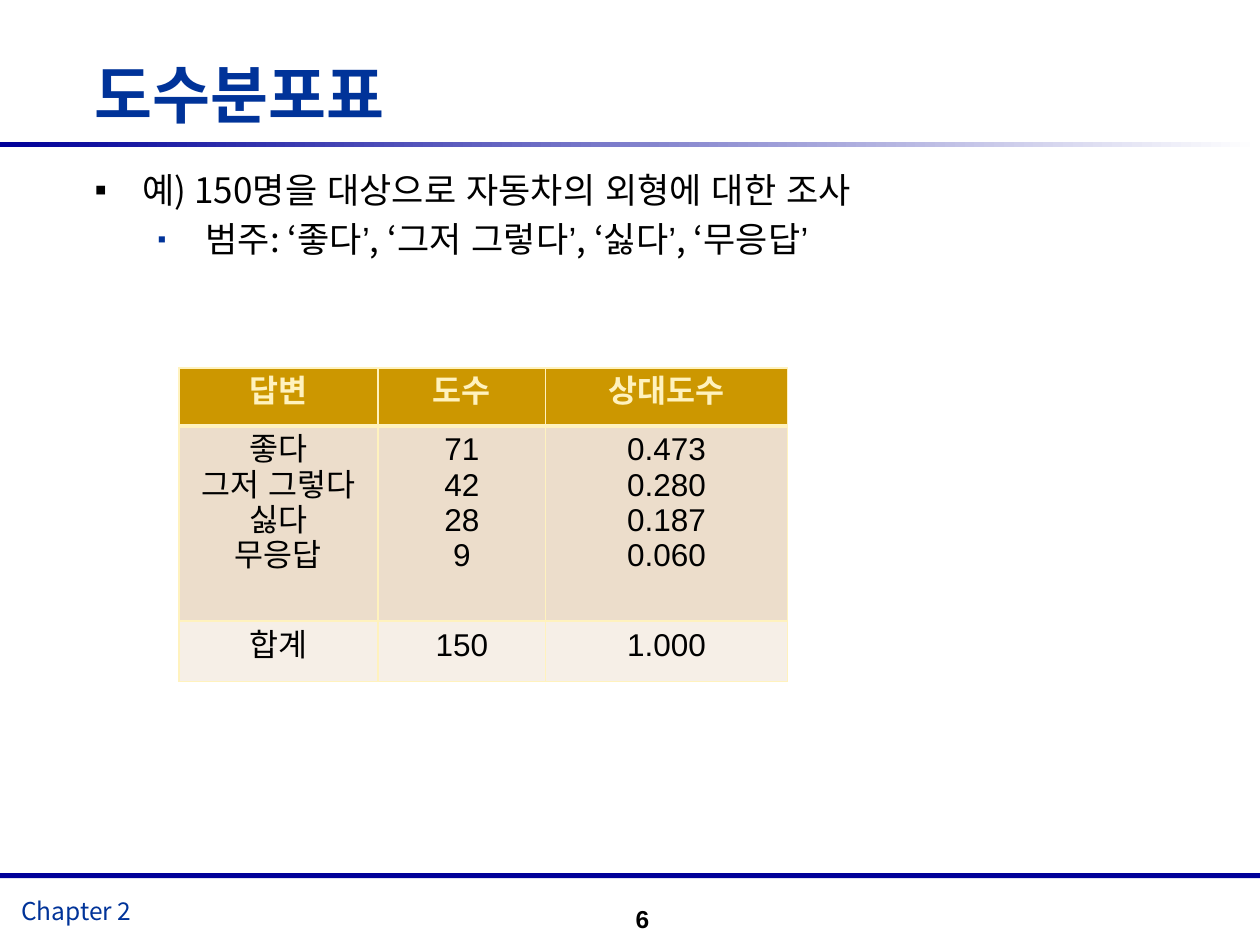
"""Builds the frequency distribution table slide."""
from lxml.etree import SubElement
from pptx import Presentation
from pptx.dml.color import RGBColor
from pptx.enum.shapes import MSO_SHAPE
from pptx.enum.text import MSO_ANCHOR, PP_ALIGN
from pptx.oxml.ns import qn
from pptx.util import Inches, Pt

TITLE = "도수분포표"
BODY = [
    {"text": "예) 150명을 대상으로 자동차의 외형에 대한 조사", "left": 0.38, "color": "black", "size": 100},
    {"text": "범주: ‘좋다’, ‘그저 그렇다’, ‘싫다’, ‘무응답’", "left": 0.88, "color": "blue", "size": 70},
]
CHAPTER, PAGE = "Chapter 2", "6"
TABLE = [
    [["답변"], ["도수"], ["상대도수"]],
    [["좋다", "그저 그렇다", "싫다", "무응답"], ["71", "42", "28", "9"],
     ["0.473", "0.280", "0.187", "0.060"]],
    [["합계"], ["150"], ["1.000"]],
]
COLS, ROWS = [1.58, 1.33, 1.92], [0.46, 1.55, 0.48]
THEME = {
    "colors": {"black": "000000", "blue": "003399", "navy": "000099", "white": "FFFFFF",
               "cream": "FFF2BE", "gold": "CC9700", "tan": "ECDDCB", "pale": "F6EFE7"},
    "east_asian": "Arial",
    "bullet": "Arial",
    "title": {"size": Pt(36), "name": "Noto Sans CJK KR", "bold": True, "color": "blue"},
    "body": {"size": Pt(20), "name": "Noto Sans CJK KR", "bold": False, "color": "black"},
    "chapter": {"size": Pt(14), "name": "Noto Sans CJK KR", "bold": False, "color": "blue"},
    "page": {"size": Pt(14), "name": "Arial", "bold": True, "color": "black"},
    "head": {"size": Pt(18), "name": "Arial", "bold": True, "color": "cream"},
    "cell": {"size": Pt(18), "name": "Arial", "bold": False, "color": "black"},
    "rows": ["gold", "tan", "pale"],
}


def rgb(name):
    return RGBColor.from_string(THEME["colors"][name])


def write(p, text, style, **layout):
    r = p.add_run()
    r.text = text
    for key, value in THEME[style].items():
        if key == "color":
            r.font.color.rgb = rgb(value)
        else:
            setattr(r.font, key, value)
    SubElement(r._r.rPr, qn("a:ea"), typeface=THEME["east_asian"])
    for key, value in layout.items():
        setattr(p, key, value)


def add_text_frame(s, box, inset=True, anchor=MSO_ANCHOR.TOP):
    tf = s.shapes.add_textbox(*map(Inches, box)).text_frame
    tf.word_wrap, tf.vertical_anchor = True, anchor
    if not inset:
        for side in ("left", "top", "right", "bottom"):
            setattr(tf, f"margin_{side}", 0)
    return tf


def add_rule(s, top, fade=False):
    sp = s.shapes.add_shape(MSO_SHAPE.RECTANGLE, *map(Inches, (0, top, 10, 0.04)))
    sp.shadow.inherit = False
    sp.line.fill.background()
    if fade:
        sp.fill.gradient()
        sp.fill.gradient_angle = 0
        for stop, color, pos in zip(sp.fill.gradient_stops, ("navy", "white"), (0, 1)):
            stop.color.rgb, stop.position = rgb(color), pos
    else:
        sp.fill.solid()
        sp.fill.fore_color.rgb = rgb("navy")


def add_bullet(p, item):
    pPr = p._p.get_or_add_pPr()
    pPr.set("marL", str(Inches(item["left"])))
    pPr.set("indent", str(Inches(-0.38)))
    color = SubElement(pPr, qn("a:buClr"))
    SubElement(color, qn("a:srgbClr"), val=THEME["colors"][item["color"]])
    SubElement(pPr, qn("a:buSzPct"), val=str(item["size"] * 1000))
    SubElement(pPr, qn("a:buFont"), typeface=THEME["bullet"])
    SubElement(pPr, qn("a:buChar"), char="▪")


def add_borders(cell, widths):
    tcPr = cell._tc.get_or_add_tcPr()
    for i, (side, width) in enumerate(widths.items()):
        ln = SubElement(tcPr, qn(f"a:ln{side}"), w=str(Pt(width)))
        fill = SubElement(ln, qn("a:solidFill"))
        SubElement(fill, qn("a:srgbClr"), val=THEME["colors"]["cream"])
        tcPr.insert(i, ln)


def add_table(s):
    box = (1.42, 2.92, sum(COLS), sum(ROWS))
    table = s.shapes.add_table(len(ROWS), len(COLS), *map(Inches, box)).table
    for col, width in zip(table.columns, COLS):
        col.width = Inches(width)
    for i, (row, height) in enumerate(zip(table.rows, ROWS)):
        row.height = Inches(height)
        for cell, lines in zip(row.cells, TABLE[i]):
            cell.fill.solid()
            cell.fill.fore_color.rgb = rgb(THEME["rows"][i])
            add_borders(cell, {"L": 1, "R": 1, "T": 3 if i == 1 else 1, "B": 3 if i == 0 else 1})
            tf = cell.text_frame
            for j, line in enumerate(lines):
                p = tf.add_paragraph() if j else tf.paragraphs[0]
                write(p, line, "cell" if i else "head", alignment=PP_ALIGN.CENTER)


def main():
    prs = Presentation()
    prs.slide_width, prs.slide_height = Inches(10), Inches(7.5)
    s = prs.slides.add_slide(prs.slide_layouts[6])
    add_rule(s, 1.13, fade=True)
    tf = add_text_frame(s, (0.07, 7.06, 3.33, 0.38))
    write(tf.paragraphs[0], CHAPTER, "chapter")
    add_rule(s, 6.93)
    tf = add_text_frame(s, (0.75, 0.5, 9.25, 0.75), inset=False)
    write(tf.paragraphs[0], TITLE, "title", line_spacing=Pt(39))
    tf = add_text_frame(s, (0.75, 1.34, 8.58, 5.33), inset=False)
    for i, item in enumerate(BODY):
        p = tf.add_paragraph() if i else tf.paragraphs[0]
        add_bullet(p, item)
        write(p, item["text"], "body", level=i, space_before=Pt(4 * i))
    tf = add_text_frame(s, (4.67, 7.08, 0.58, 0.42), anchor=MSO_ANCHOR.MIDDLE)
    write(tf.paragraphs[0], PAGE, "page", alignment=PP_ALIGN.RIGHT)
    add_table(s)
    prs.save("out.pptx")


if __name__ == "__main__":
    main()
